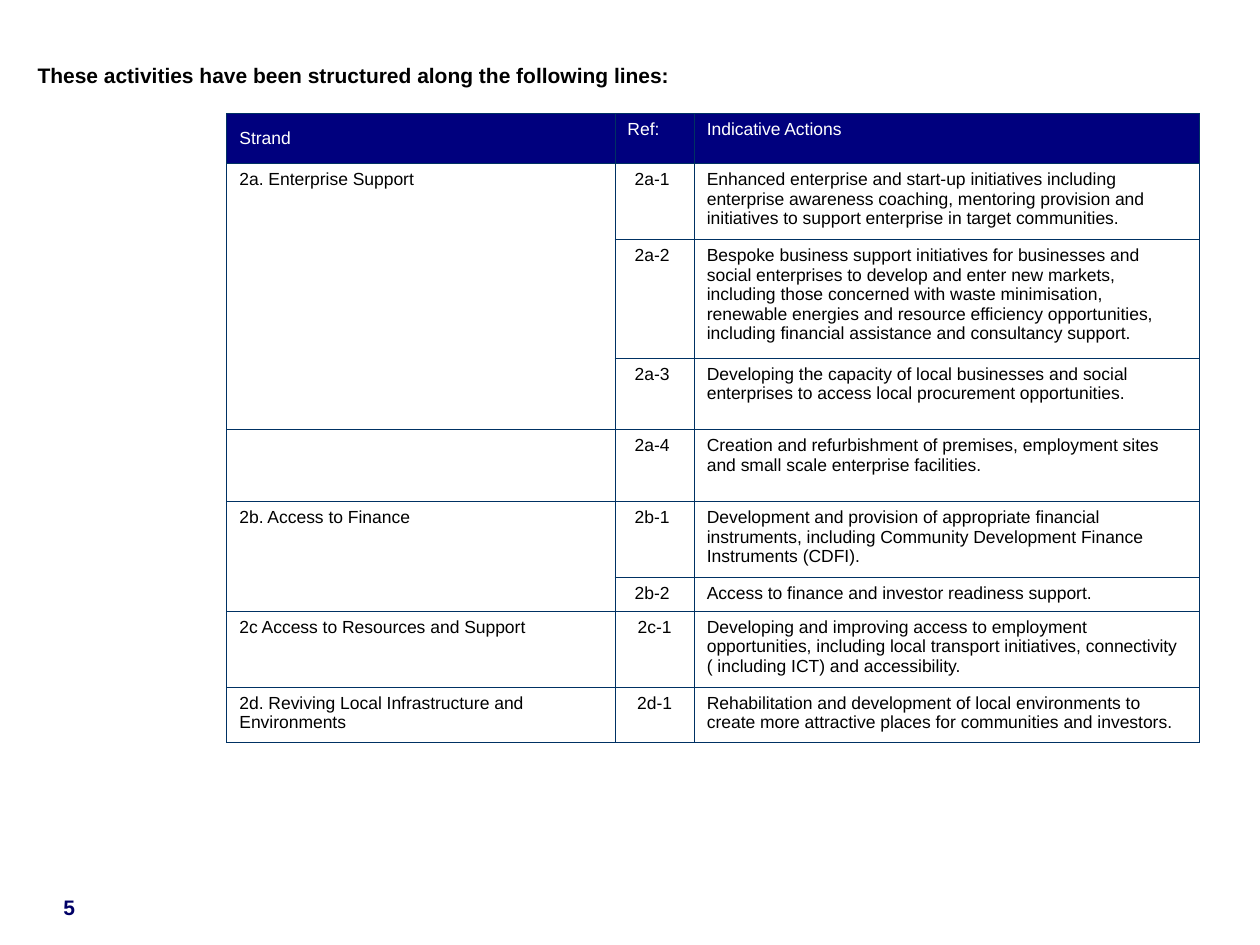
from lxml.etree import SubElement
from pptx import Presentation
from pptx.dml.color import RGBColor
from pptx.enum.text import MSO_ANCHOR, PP_ALIGN
from pptx.oxml.ns import qn
from pptx.util import Inches, Pt

WIDE, HIGH = 10, 7.5
COLS = [3.08, 0.63, 4.01]
ROWS = [0.4, 0.6, 0.94, 0.57, 0.57, 0.6, 0.27, 0.6, 0.44]
HEAD = ["Strand", "Ref:", "Indicative Actions"]
BODY = [
    ("2a. Enterprise Support", "2a-1 ",
     "Enhanced enterprise and start-up initiatives including enterprise awareness coaching, "
     "mentoring provision and initiatives to support enterprise in target communities."),
    ("", "2a-2 ",
     "Bespoke business support initiatives for businesses and social enterprises to develop "
     "and enter new markets, including those concerned with waste minimisation, renewable "
     "energies and resource efficiency opportunities, including financial assistance and "
     "consultancy support."),
    ("", "2a-3 ",
     "Developing the capacity of local businesses and social enterprises to access local "
     "procurement opportunities."),
    ("", "2a-4 ",
     "Creation and refurbishment of premises, employment sites and small scale enterprise "
     "facilities."),
    ("2b. Access to Finance", "2b-1 ",
     "Development and provision of appropriate financial instruments, including Community "
     "Development Finance Instruments (CDFI)."),
    ("", "2b-2 ", "Access to finance and investor readiness support."),
    ("2c Access to Resources and Support", "2c-1",
     "Developing and improving access to employment opportunities, including local transport "
     "initiatives, connectivity ( including ICT) and accessibility."),
    ("2d. Reviving Local Infrastructure and Environments", "2d-1",
     "Rehabilitation and development of local environments to create more attractive places "
     "for communities and investors."),
]
# Sides left open where the first strand runs over three rows
OPEN = {(1, 0): "B", (2, 0): "TB", (3, 0): "T"}


def tint(code):
    return RGBColor.from_string(code)


class Page:
    font = "Arial"
    ink, navy, white, rule = "000000", "00007E", "FFFFFF", "003163"

    def __init__(self, slide):
        self.slide = slide

    def text(self, frame, words, size, color, bold=False, align=PP_ALIGN.LEFT):
        para = frame.paragraphs[0]
        para.alignment = align
        if words:
            run = para.add_run()
            run.text = words
            font = run.font
            font.name, font.size, font.bold = self.font, Pt(size), bold
            font.color.rgb = tint(color)

    def label(self, x, y, w, h, words, color, align=PP_ALIGN.LEFT, wrap=True):
        """Add bold text; x, y, w and h are shares of the slide."""
        box = self.slide.shapes.add_textbox(
            Inches(x * WIDE), Inches(y * HIGH), Inches(w * WIDE), Inches(h * HIGH))
        frame = box.text_frame
        frame.word_wrap = wrap
        frame.vertical_anchor = MSO_ANCHOR.MIDDLE
        self.text(frame, words, 12, color, True, align)

    def edge(self, cell, gaps):
        """Rule the sides of a cell, apart from those named in gaps."""
        props = cell._tc.get_or_add_tcPr()
        for side in "LRTB":
            line = SubElement(props, qn(f"a:ln{side}"), w=str(Pt(0.45)))
            if side in gaps:
                SubElement(line, qn("a:noFill"))
            else:
                fill = SubElement(line, qn("a:solidFill"))
                SubElement(fill, qn("a:srgbClr"), val=self.rule)

    def cell(self, cell, row, col, words):
        top = row == 0
        self.edge(cell, OPEN.get((row, col), ""))
        if top:
            cell.fill.solid()
            cell.fill.fore_color.rgb = tint(self.navy)
        else:
            cell.fill.background()
        middle = top and col == 0
        cell.vertical_anchor = MSO_ANCHOR.MIDDLE if middle else MSO_ANCHOR.TOP
        align = PP_ALIGN.CENTER if col == 1 and not top else PP_ALIGN.LEFT
        self.text(cell.text_frame, words, 10, self.white if top else self.ink, align=align)

    def table(self, x, y, data):
        """Add the table with its corner at x, y, given as shares of the slide."""
        table = self.slide.shapes.add_table(
            len(ROWS), len(COLS), Inches(x * WIDE), Inches(y * HIGH),
            Inches(sum(COLS)), Inches(sum(ROWS))).table
        table.first_row = table.horz_banding = False
        for col, width in zip(table.columns, COLS):
            col.width = Inches(width)
        for row, height in zip(table.rows, ROWS):
            row.height = Inches(height)
        for r, line in enumerate(data):
            for c, words in enumerate(line):
                self.cell(table.cell(r, c), r, c, words)
        table.cell(5, 0).merge(table.cell(6, 0))


def main():
    deck = Presentation()
    deck.slide_width, deck.slide_height = Inches(WIDE), Inches(HIGH)
    page = Page(deck.slides.add_slide(deck.slide_layouts[6]))
    page.label(0.03, 0.94, 0.05, 0.04, "5", "000066", PP_ALIGN.CENTER)
    page.label(0.02, 0.06, 0.53, 0.04,
               "These activities have been structured along the following lines:",
               page.ink, wrap=False)
    page.table(0.18, 0.12, [HEAD, *BODY])
    deck.save("out.pptx")


if __name__ == "__main__":
    main()
